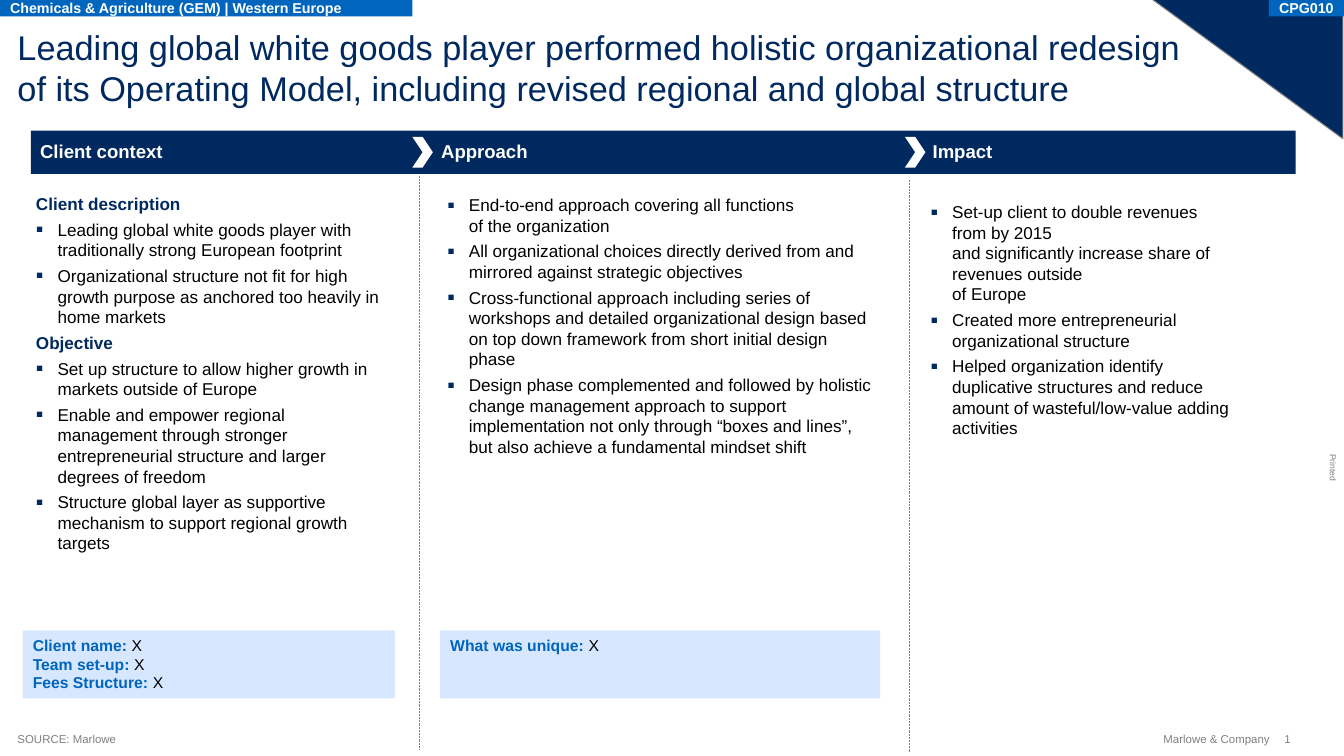
"""Build a client case slide with context, approach and impact columns."""
from lxml import etree
from pptx import Presentation
from pptx.dml.color import RGBColor
from pptx.enum.dml import MSO_LINE
from pptx.enum.shapes import MSO_CONNECTOR, MSO_SHAPE
from pptx.enum.text import MSO_ANCHOR, MSO_AUTO_SIZE, PP_ALIGN
from pptx.oxml.ns import qn
from pptx.util import Inches, Pt

NAVY = RGBColor(0x00, 0x29, 0x60)
BLUE = RGBColor(0x00, 0x65, 0xBD)
PALE_BLUE = RGBColor(0xD6, 0xE7, 0xFF)
GREY = RGBColor(0x80, 0x80, 0x80)
BLACK = RGBColor(0x00, 0x00, 0x00)
WHITE = RGBColor(0xFF, 0xFF, 0xFF)
TOP, MIDDLE, BOTTOM = MSO_ANCHOR.TOP, MSO_ANCHOR.MIDDLE, MSO_ANCHOR.BOTTOM
LEFT, RIGHT = PP_ALIGN.LEFT, PP_ALIGN.RIGHT
NO_AUTOFIT = MSO_AUTO_SIZE.NONE
RECTANGLE, CHEVRON = MSO_SHAPE.RECTANGLE, MSO_SHAPE.CHEVRON
TRIANGLE = MSO_SHAPE.ISOSCELES_TRIANGLE
STRAIGHT, DOTTED = MSO_CONNECTOR.STRAIGHT, MSO_LINE.ROUND_DOT
FONT = "Arial"

prs = Presentation()
prs.slide_width, prs.slide_height = Inches(13.07), Inches(7.35)
slide = prs.slides.add_slide(prs.slide_layouts.get_by_name("Comparison"))
shapes = slide.shapes


def add_block(kind, place, fill):
    block = shapes.add_shape(kind, *map(Inches, place))
    block.shadow.inherit = False
    block.fill.solid()
    block.fill.fore_color.rgb = fill
    block.line.fill.background()
    return block


def write(shape, lines, size, color, bold=False, anchor=TOP, align=LEFT, inset=(0, 0), wrap=True):
    frame = shape.text_frame
    frame.text = "\n".join(lines)
    frame.auto_size = NO_AUTOFIT
    frame.word_wrap = wrap
    frame.vertical_anchor = anchor
    frame.margin_left = frame.margin_right = Inches(inset[0])
    frame.margin_top = frame.margin_bottom = Inches(inset[1])
    for paragraph in frame.paragraphs:
        paragraph.alignment = align
        for run in paragraph.runs:
            run.font.name, run.font.size, run.font.bold = FONT, Pt(size), bold
            run.font.color.rgb = color


corner = add_block(TRIANGLE, (11.2, -0.01, 1.86, 1.36), NAVY)
corner.adjustments[0] = 1
corner.element.spPr.xfrm.set("flipV", "1")
corner.line.color.rgb = GREY
corner.line.width = Pt(0.75)

headline = shapes.title
headline.left, headline.top, headline.width, headline.height = map(Inches, (0.17, 0.25, 11.64, 0.81))
write(headline, ["Leading global white goods player performed holistic organizational redesign "
                 "of its Operating Model, including revised regional and global structure"], 24, NAVY)

small_print = [
    ("Printed", (12.83, 4.5, 0.27, 0.1), 6, TOP, LEFT, 90),
    ("1", (12.49, 7.12, 0.14, 0.13), 8, MIDDLE, LEFT, 0),
    ("Marlowe & Company", (11.24, 7.12, 1.11, 0.13), 8, MIDDLE, RIGHT, 0),
    ("SOURCE: Marlowe", (0.17, 7.12, 7.87, 0.13), 8, BOTTOM, LEFT, 0),
]
for text, place, size, anchor, align, rotation in small_print:
    note = shapes.add_textbox(*map(Inches, place))
    note.rotation = rotation
    write(note, [text], size, GREY, anchor=anchor, align=align, wrap=False)

for text, left, width in [("CPG010", 12.34, 0.73),
                          ("Chemicals & Agriculture (GEM) | Western Europe", 0, 4.01)]:
    tag = add_block(RECTANGLE, (left, 0, width, 0.16), BLUE)
    write(tag, [text], 10, WHITE, True, MIDDLE, inset=(0.1, 0.05), wrap=False)

columns = [
    (1, (0.35, 1.88, 3.4, 3.59), [
        "Client description",
        "Leading global white goods player with traditionally strong European footprint",
        "Organizational structure not fit for high growth purpose as anchored too heavily "
        "in home markets",
        "Objective",
        "Set up structure to allow higher growth in markets outside of Europe",
        "Enable and empower regional management through stronger entrepreneurial structure "
        "and larger degrees of freedom",
        "Structure global layer as supportive mechanism to support regional growth targets",
    ]),
    (2, (4.35, 1.89, 4.16, 2.61), [
        "End-to-end approach covering all functions \vof the organization",
        "All organizational choices directly derived from and mirrored against strategic objectives",
        "Cross-functional approach including series of workshops and detailed organizational "
        "design based on top down framework from short initial design phase",
        "Design phase complemented and followed by holistic change management approach to "
        "support implementation not only through “boxes and lines”, but also achieve "
        "a fundamental mindset shift",
    ]),
    (4, (9.05, 1.96, 2.92, 2.34), [
        "Set-up client to double revenues from by 2015 \vand significantly increase share of "
        "revenues outside \vof Europe",
        "Created more entrepreneurial organizational structure",
        "Helped organization identify duplicative structures and reduce amount of "
        "wasteful/low-value adding activities",
    ]),
]
subheads = ("Client description", "Objective")
bodies = {body.placeholder_format.idx: body for body in slide.placeholders}
for index, place, points in columns:
    body = bodies[index]
    body.left, body.top, body.width, body.height = map(Inches, place)
    write(body, points, 12, BLACK)
    for number, paragraph in enumerate(body.text_frame.paragraphs):
        paragraph.space_before = Pt(3.6 if number else 0)
        props = paragraph._p.get_or_add_pPr()
        is_subhead = paragraph.text in subheads
        indent = 0 if is_subhead else Inches(0.21)
        props.set("marL", str(indent))
        props.set("indent", str(-indent))
        if is_subhead:
            etree.SubElement(props, qn("a:buNone"))
            paragraph.runs[0].font.bold = True
            paragraph.runs[0].font.color.rgb = NAVY
        else:
            bullet_color = etree.SubElement(props, qn("a:buClr"))
            etree.SubElement(bullet_color, qn("a:srgbClr"), val=str(NAVY))
            etree.SubElement(props, qn("a:buSzPct"), val="125000")
            etree.SubElement(props, qn("a:buFont"), typeface=FONT)
            etree.SubElement(props, qn("a:buChar"), char="▪")
unused = bodies[3].element
unused.getparent().remove(unused)

add_block(RECTANGLE, (0.3, 1.27, 12.3, 0.42), NAVY)
for text, left, width in [("Client context", 0.39, 2.91), ("Approach", 4.29, 3.49), ("Impact", 9.07, 3.17)]:
    heading = shapes.add_textbox(Inches(left), Inches(1.36), Inches(width), Inches(0.24))
    write(heading, [text], 13, WHITE, True, BOTTOM)
    heading.text_frame.margin_bottom = Inches(0.02)

for chevron_left, x, top, bottom in [(4.01, 4.08, 1.71, 7.29), (8.8, 8.84, 1.75, 7.32)]:
    add_block(CHEVRON, (chevron_left, 1.33, 0.2, 0.3), WHITE)
    divider = shapes.add_connector(STRAIGHT, Inches(x), Inches(top), Inches(x), Inches(bottom))
    divider.line.color.rgb = GREY
    divider.line.width = Pt(0.5)
    divider.line.dash_style = DOTTED
    etree.SubElement(divider.element.spPr, qn("a:effectLst"))

for left, width, labels in [(0.22, 3.62, ["Client name: ", "Team set-up: ", "Fees Structure: "]),
                            (4.28, 4.28, ["What was unique: "])]:
    facts = add_block(RECTANGLE, (left, 6.13, width, 0.66), PALE_BLUE)
    write(facts, labels, 11, BLUE, True, inset=(0.1, 0.05))
    for paragraph in facts.text_frame.paragraphs:
        answer = paragraph.add_run()
        answer.text = "X"
        answer.font.name, answer.font.size, answer.font.bold = FONT, Pt(11), False
        answer.font.color.rgb = BLACK

prs.save("out.pptx")
